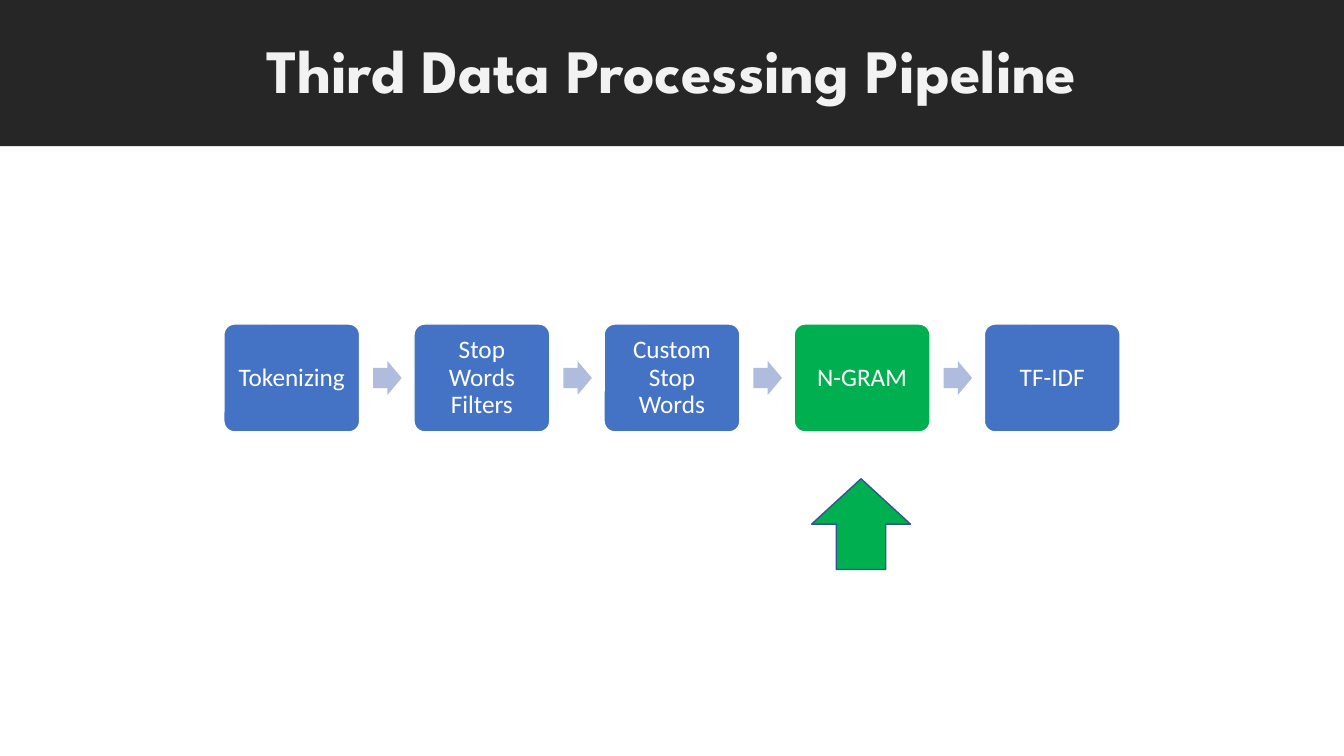
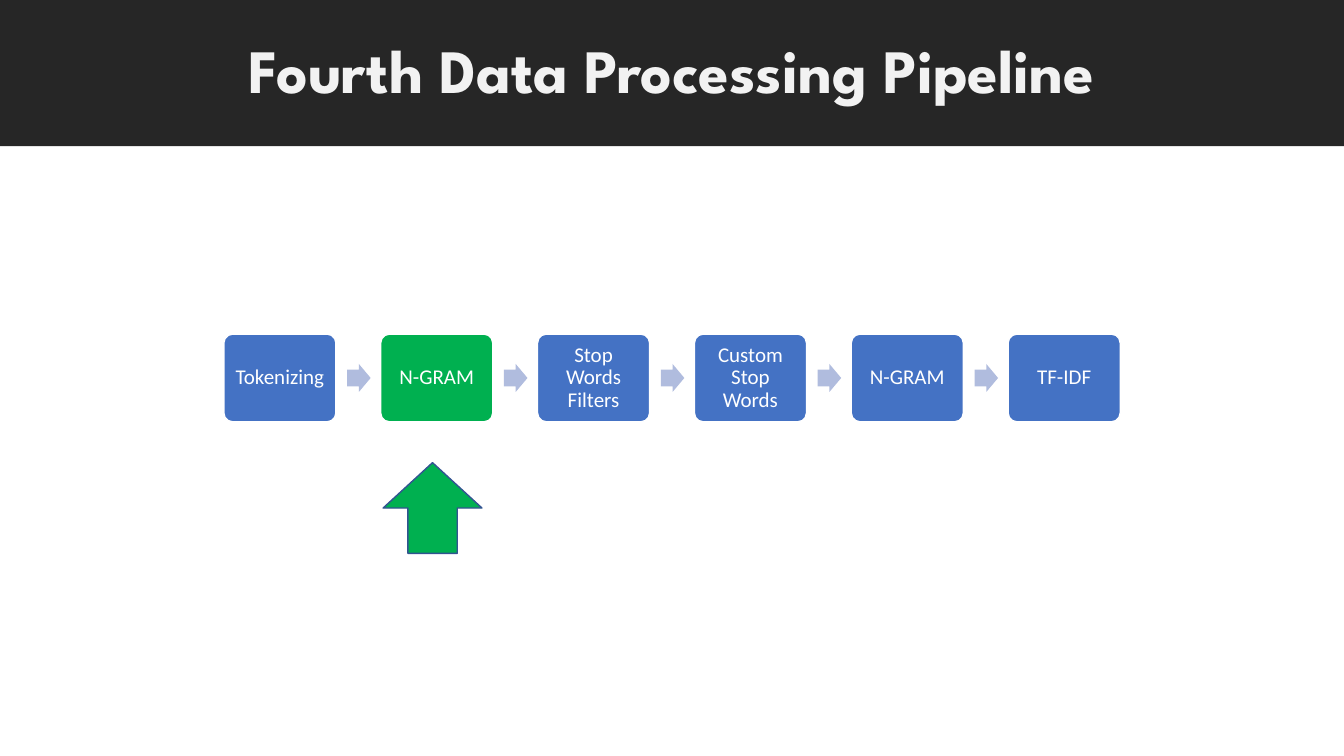
"""Build two slides that show data processing pipelines as rows of steps."""
from dataclasses import dataclass
from typing import Any, Optional

import pptx
import pptx.dml.color
import pptx.enum.shapes
import pptx.enum.text
import pptx.shapes.autoshape
import pptx.slide
import pptx.util

Inches = pptx.util.Inches
Pt = pptx.util.Pt
RGB = pptx.dml.color.RGBColor.from_string
MSO = pptx.enum.shapes.MSO_SHAPE
Shape = pptx.shapes.autoshape.Shape


@dataclass(frozen=True)
class Theme:
    band: str = "262626"
    title: str = "F2F2F2"
    step: str = "4472C4"
    highlight: str = "00B050"
    arrow: str = "B0BCDE"
    outline: str = "325491"
    white: str = "FFFFFF"
    title_font: str = "League Spartan"
    body_font: str = "Calibri"
    title_size: int = 44


@dataclass(frozen=True)
class Box:
    left: float
    top: float
    width: float
    height: float


@dataclass(frozen=True)
class Pipeline:
    title: str
    steps: tuple[str, ...]
    highlighted: int
    step_height: float
    text_size: int
    pointer: Box


THEME = Theme()
SLIDE_W, SLIDE_H = 13.33, 7.5
ROW_LEFT, ROW_WIDTH, ROW_MIDDLE = 2.22, 8.89, 3.75
GAP_RATIO = 0.4

PIPELINES = (
    Pipeline(
        "Third Data Processing Pipeline",
        ("Tokenizing", "Stop Words Filters", "Custom Stop Words", "N-GRAM", "TF-IDF"),
        3, 1.07, 18, Box(8.05, 4.75, 0.98, 0.9),
    ),
    Pipeline(
        "Fourth Data Processing Pipeline",
        ("Tokenizing", "N-GRAM", "Stop Words Filters", "Custom Stop Words", "N-GRAM", "TF-IDF"),
        1, 0.87, 15, Box(3.8, 4.59, 0.98, 0.9),
    ),
)


def set_format(target: Any, values: dict[str, Any]) -> None:
    for name, value in values.items():
        setattr(target, name, value)


def add_shape(s: pptx.slide.Slide, kind: MSO, box: Box, fill: str,
              line: Optional[str] = None) -> Shape:
    sp = s.shapes.add_shape(kind, Inches(box.left), Inches(box.top),
                            Inches(box.width), Inches(box.height))
    sp.shadow.inherit = False
    sp.fill.solid()
    sp.fill.fore_color.rgb = RGB(fill)
    if line:
        sp.line.color.rgb = RGB(line)
        sp.line.width = Pt(1)
    else:
        sp.line.fill.background()
    return sp


def add_text(sp: Shape, text: str, color: str, font: dict[str, Any],
             frame: dict[str, Any]) -> None:
    tf = sp.text_frame
    set_format(tf, {"word_wrap": True,
                    "vertical_anchor": pptx.enum.text.MSO_ANCHOR.MIDDLE, **frame})
    p = tf.paragraphs[0]
    set_format(p, {"alignment": pptx.enum.text.PP_ALIGN.CENTER, "line_spacing": 0.9})
    r = p.add_run()
    r.text = text
    set_format(r.font, font)
    r.font.color.rgb = RGB(color)


def add_title(s: pptx.slide.Slide, text: str) -> None:
    sp = add_shape(s, MSO.RECTANGLE, Box(0, 0, SLIDE_W, 1.45), THEME.band)
    font = {"name": THEME.title_font, "size": Pt(THEME.title_size), "bold": True}
    add_text(sp, text, THEME.title, font, {})


def add_steps(s: pptx.slide.Slide, pipeline: Pipeline) -> None:
    count = len(pipeline.steps)
    width = ROW_WIDTH / (count + GAP_RATIO * (count - 1))
    height = pipeline.step_height
    arrow_w, arrow_h = 0.21 * width, 0.25 * width
    font = {"name": THEME.body_font, "size": Pt(pipeline.text_size)}
    sides = ("left", "right", "top", "bottom")
    frame = {f"margin_{side}": Inches(0.05 * width) for side in sides}
    for i, step in enumerate(pipeline.steps):
        left = ROW_LEFT + i * width * (1 + GAP_RATIO)
        fill = THEME.highlight if i == pipeline.highlighted else THEME.step
        sp = add_shape(s, MSO.ROUNDED_RECTANGLE,
                       Box(left, ROW_MIDDLE - height / 2, width, height), fill, THEME.white)
        sp.adjustments[0] = 0.1
        add_text(sp, step, THEME.white, font, frame)
        if i < count - 1:
            arrow = Box(left + 1.1 * width, ROW_MIDDLE - arrow_h / 2, arrow_w, arrow_h)
            sp = add_shape(s, MSO.RIGHT_ARROW, arrow, THEME.arrow)
            sp.adjustments[0] = 0.6


def add_pipeline(prs: Any, pipeline: Pipeline) -> None:
    s = prs.slides.add_slide(prs.slide_layouts[6])
    add_title(s, pipeline.title)
    add_steps(s, pipeline)
    add_shape(s, MSO.UP_ARROW, pipeline.pointer, THEME.highlight, THEME.outline)


def main() -> None:
    prs = pptx.Presentation()
    set_format(prs, {"slide_width": Inches(SLIDE_W), "slide_height": Inches(SLIDE_H)})
    for pipeline in PIPELINES:
        add_pipeline(prs, pipeline)
    prs.save("out.pptx")


if __name__ == "__main__":
    main()
